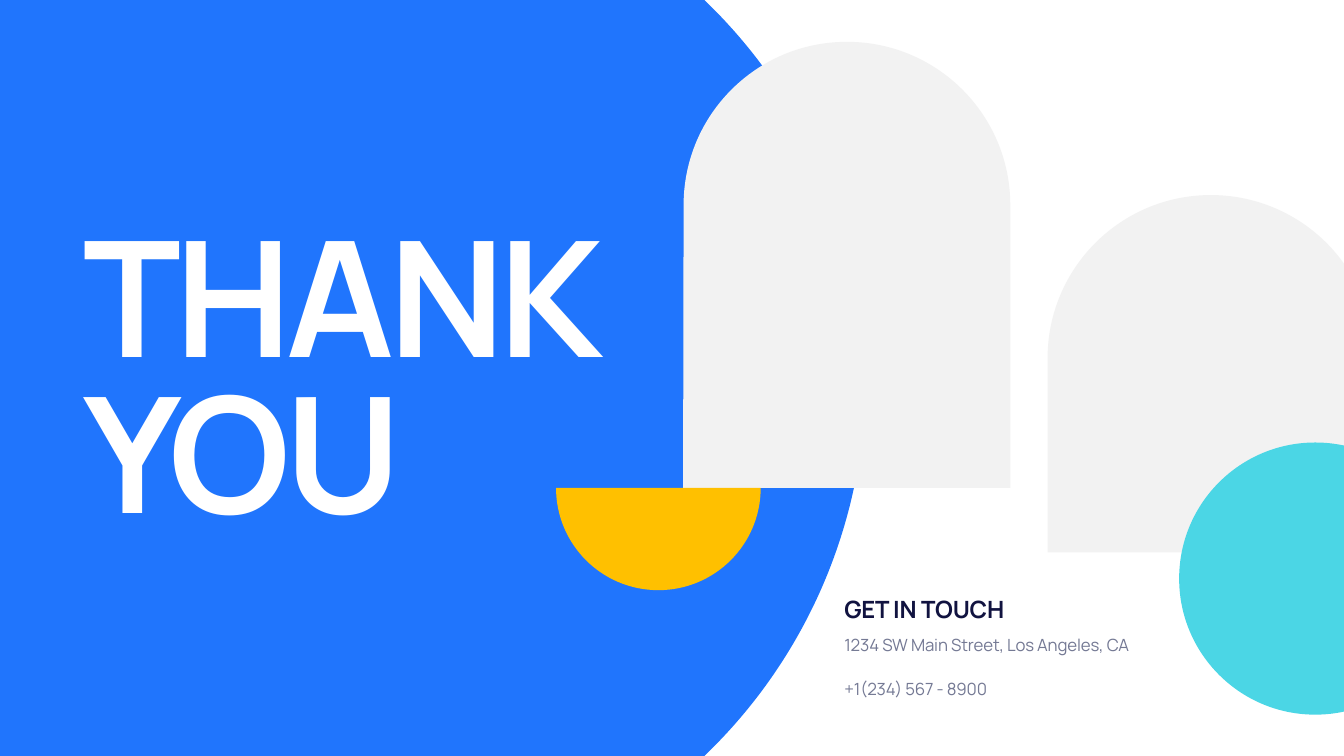
import math

import lxml.etree
import pptx
import pptx.dml.color
import pptx.enum.text
import pptx.oxml.ns
import pptx.util

Inches = pptx.util.Inches
Pt = pptx.util.Pt
Anchor = pptx.enum.text.MSO_ANCHOR
qn = pptx.oxml.ns.qn
WIDTH, HEIGHT = 26.66, 15
COLORS = {
    "blue": "2075FD",
    "gray": "F2F2F2",
    "yellow": "FFC000",
    "teal": "4BD6E5",
    "navy": "111340",
    "slate": "747994",
    "white": "FFFFFF",
}
STYLES = {
    "title": {"size": 230, "bold": True, "color": "white", "spacing": -7.5},
    "heading": {"size": 34, "bold": True, "color": "navy", "spacing": -0.3},
    "detail": {"size": 24, "bold": False, "color": "slate", "spacing": -0.2, "line": 36},
}


def arc(cx, cy, radius, *degrees):
    angles = [math.radians(d) for d in degrees]
    segments = [[(cx + radius * math.cos(angles[0]), cy + radius * math.sin(angles[0]))]]
    for a, b in zip(angles, angles[1:]):
        k = 4 / 3 * math.tan((b - a) / 4)
        ends = ((a, k), (b, -k), (b, 0))
        segments.append([
            (cx + radius * (math.cos(t) - h * math.sin(t)), cy + radius * (math.sin(t) + h * math.cos(t)))
            for t, h in ends
        ])
    return segments


class Deck:
    font = "Manrope"

    def __init__(self, prs):
        self.slide = prs.slides.add_slide(prs.slide_layouts[6])

    def color(self, name):
        return pptx.dml.color.RGBColor.from_string(COLORS[name])

    def outline(self, curve, corners, color):
        segments = curve + [[corner] for corner in corners]
        pts = [(Inches(x), Inches(y)) for segment in segments for x, y in segment]
        builder = self.slide.shapes.build_freeform(*pts[0])
        builder.add_line_segments(pts[1:], close=True)
        sp = builder.convert_to_shape()
        sp.shadow.inherit = False
        sp.fill.solid()
        sp.fill.fore_color.rgb = self.color(color)
        sp.line.fill.background()
        lines = iter(list(sp._element.iter(qn("a:lnTo"))))
        for segment in segments[1:]:
            group = [next(lines) for _ in segment]
            if len(group) == 3:
                bezier = lxml.etree.Element(qn("a:cubicBezTo"))
                group[0].addprevious(bezier)
                for line in group:
                    bezier.append(line[0])
                    line.getparent().remove(line)

    def text(self, text, box, style, anchor=Anchor.TOP):
        fmt = STYLES[style]
        tf = self.slide.shapes.add_textbox(*map(Inches, box)).text_frame
        frame = {
            "word_wrap": True,
            "auto_size": pptx.enum.text.MSO_AUTO_SIZE.SHAPE_TO_FIT_TEXT,
            "vertical_anchor": anchor,
        }
        for name, value in frame.items():
            setattr(tf, name, value)
        p = tf.paragraphs[0]
        if "line" in fmt:
            p.line_spacing = Pt(fmt["line"])
        r = p.add_run()
        r.text = text
        for name, value in {"name": self.font, "size": Pt(fmt["size"]), "bold": fmt["bold"]}.items():
            setattr(r.font, name, value)
        r.font.color.rgb = self.color(fmt["color"])
        r._r.get_or_add_rPr().set("spc", str(round(fmt["spacing"] * 100)))


prs = pptx.Presentation()
prs.slide_width, prs.slide_height = Inches(WIDTH), Inches(HEIGHT)
deck = Deck(prs)

radius = 10.39
bend = math.degrees(math.asin(HEIGHT / 2 / radius))
panel = arc(17.17 - radius, HEIGHT / 2, radius, -bend, 0, bend)
deck.outline(panel, [(-0.01, HEIGHT), (-0.01, 0)], "blue")

arch = 3.24
deck.outline(arc(16.8, 4.07, arch, 180, 270, 360), [(20.04, 9.68), (13.55, 9.68)], "gray")

cut = math.degrees(math.acos((WIDTH - 24.02) / arch))
deck.outline(arc(24.02, 7.11, arch, 180, 270, 360 - cut), [(WIDTH, 10.96), (20.78, 10.96)], "gray")

deck.outline(arc(13.06, 9.68, 2.03, 0, 90, 180), [], "yellow")

disc = 2.7
cut = math.degrees(math.acos((WIDTH - 26.09) / disc))
deck.outline(arc(26.09, 11.48, disc, cut, 90, 180, 270, 360 - cut), [], "teal")

deck.text("GET IN TOUCH", (16.65, 11.75, 6.22, 0.67), "heading", Anchor.BOTTOM)
for text, top in (("1234 SW Main Street, Los Angeles, CA", 12.45), ("+1(234) 567 - 8900", 13.32)):
    deck.text(text, (16.65, top, 6.22, 0.58), "detail")
for text, top, width in (("THANK", 3.85, 11.78), ("YOU", 6.95, 8.23)):
    deck.text(text, (1.55, top, width, 3.97), "title")

prs.save("out.pptx")
